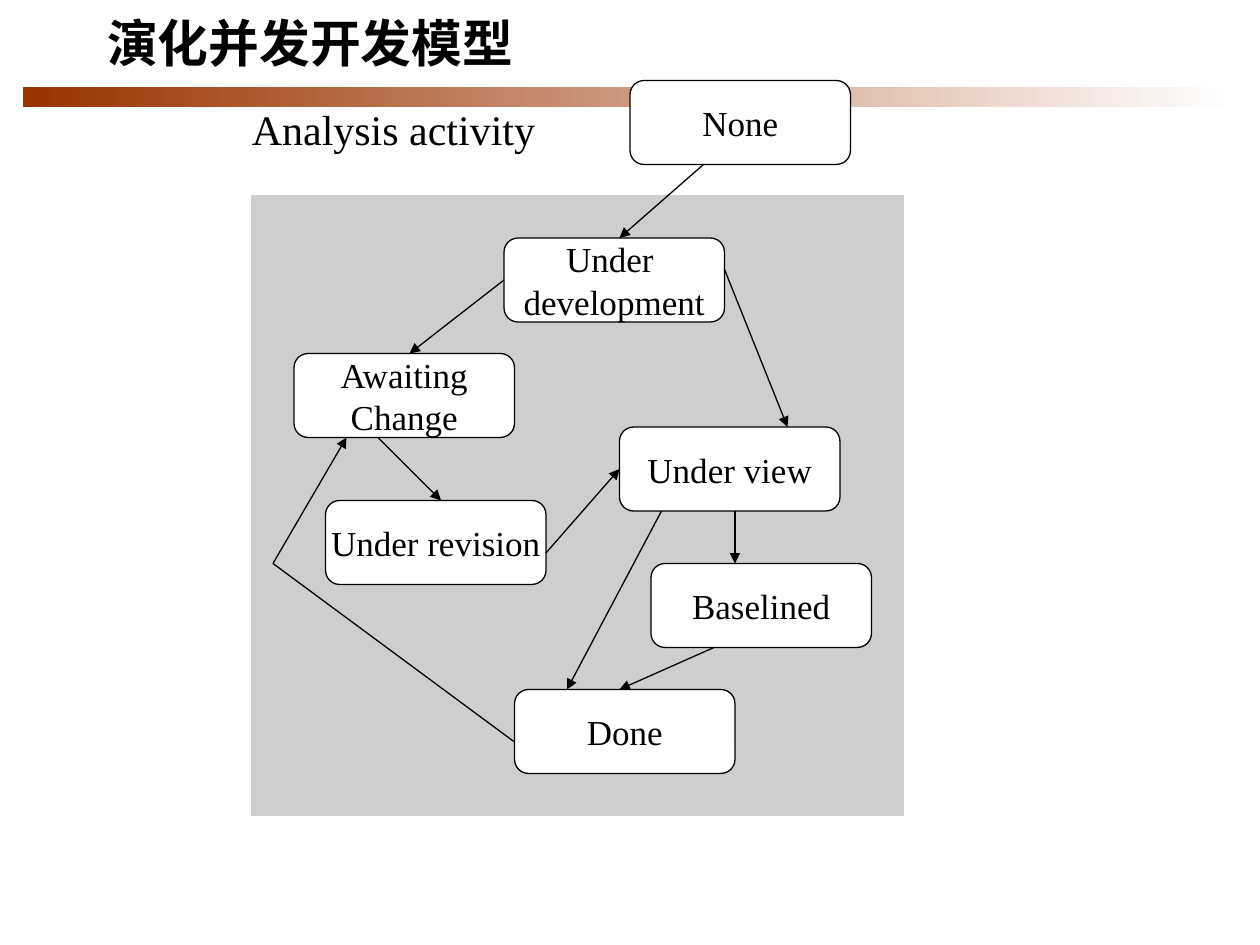
from pptx import Presentation
from pptx.dml.color import RGBColor
from pptx.enum.shapes import MSO_CONNECTOR, MSO_SHAPE
from pptx.enum.text import MSO_ANCHOR, MSO_AUTO_SIZE, PP_ALIGN
from pptx.oxml.ns import qn
from pptx.util import Inches, Pt
from lxml import etree

BLACK = RGBColor(0x00, 0x00, 0x00)
WHITE = RGBColor(0xFF, 0xFF, 0xFF)
GREY = RGBColor(0xCE, 0xCE, 0xCE)
RUST = RGBColor(0x99, 0x33, 0x00)
RECT = MSO_SHAPE.RECTANGLE
ROUNDED = MSO_SHAPE.FLOWCHART_ALTERNATE_PROCESS
STRAIGHT = MSO_CONNECTOR.STRAIGHT
MIDDLE = MSO_ANCHOR.MIDDLE
LEFT, CENTER = PP_ALIGN.LEFT, PP_ALIGN.CENTER
NO_FIT = MSO_AUTO_SIZE.NONE

prs = Presentation()
prs.slide_width, prs.slide_height = Inches(10), Inches(7.5)
slide = prs.slides.add_slide(prs.slide_layouts[5])
shapes = slide.shapes

# The diagram sits on a grid of 120 x 90 units, shifted up by a third of a row.
UNIT = prs.slide_width // 120
SHIFT = UNIT // 3
STATE_W, STATE_H = 21 * UNIT, 8 * UNIT


def grid(col, row):
    return col * UNIT, row * UNIT - SHIFT


def format_text(tf, name, size, align, bold=False):
    for p in tf.paragraphs:
        p.alignment = align
        for r in p.runs:
            r.font.name, r.font.size, r.font.bold = name, Pt(size), bold
            r.font.color.rgb = BLACK


# Gradient rule under the title
band = shapes.add_shape(RECT, Inches(0.18), Inches(0.69), Inches(9.61), Inches(0.16))
band.shadow.inherit = False
band.line.fill.background()
band.fill.gradient()
band.fill.gradient_angle = 0
for stop, color, position in zip(band.fill.gradient_stops, (RUST, WHITE), (0, 1)):
    stop.color.rgb, stop.position = color, position

title = shapes.title
title.left, title.top = Inches(0.75), Inches(-0.25)
title.width, title.height = Inches(8.5), Inches(1.25)
tf = title.text_frame
tf.text = "演化并发开发模型"
tf.auto_size, tf.vertical_anchor = NO_FIT, MIDDLE
p = tf.paragraphs[0]
p.line_spacing, p.space_before, p.space_after = 0.85, Pt(3.6), Pt(3.6)
format_text(tf, "Arial", 29, LEFT, bold=True)

panel = shapes.add_shape(RECT, *grid(24, 19), 62 * UNIT, 59 * UNIT)
panel.shadow.inherit = False
panel.fill.solid()
panel.fill.fore_color.rgb = GREY
panel.line.color.rgb, panel.line.width = GREY, Pt(0.75)

states = [
    ("Under \ndevelopment", 48, 23),
    ("Under view", 59, 41),
    ("Under revision", 31, 48),
    ("Baselined", 62, 54),
    ("Done", 49, 66),
    ("Awaiting\nChange", 28, 34),
    ("None", 60, 8),
]
for text, col, row in states:
    sp = shapes.add_shape(ROUNDED, *grid(col, row), STATE_W, STATE_H)
    sp.shadow.inherit = False
    sp.fill.solid()
    sp.fill.fore_color.rgb = WHITE
    sp.line.color.rgb, sp.line.width = BLACK, Pt(0.75)
    tf = sp.text_frame
    tf.text = text
    tf.word_wrap, tf.vertical_anchor = False, MIDDLE
    format_text(tf, "Times New Roman", 20, CENTER)

# Start and end grid points, and whether the line ends in an arrowhead
transitions = [
    ((67, 16), (59, 23), True),   # None to Under development
    ((48, 27), (39, 34), True),   # Under development to Awaiting Change
    ((36, 42), (42, 48), True),   # Awaiting Change to Under revision
    ((52, 53), (59, 45), True),   # Under revision to Under view
    ((69, 26), (75, 41), True),   # Under development to Under view
    ((70, 49), (70, 54), True),   # Under view to Baselined
    ((68, 62), (59, 66), True),   # Baselined to Done
    ((49, 71), (26, 54), False),  # Done to the bend
    ((26, 54), (33, 42), True),   # Bend to Awaiting Change
    ((63, 49), (54, 66), True),   # Under view to Done
]
for start, end, arrow in transitions:
    line = shapes.add_connector(STRAIGHT, *grid(*start), *grid(*end))
    line.line.color.rgb, line.line.width = BLACK, Pt(0.75)
    if arrow:
        etree.SubElement(line.line._get_or_add_ln(), qn("a:tailEnd"), type="triangle")
    etree.SubElement(line._element.spPr, qn("a:effectLst"))

caption = shapes.add_textbox(Inches(1.9), Inches(0.77), Inches(2.45), Inches(0.5))
tf = caption.text_frame
tf.text = "Analysis activity"
tf.word_wrap = False
format_text(tf, "Times New Roman", 24, LEFT)

prs.save("out.pptx")
